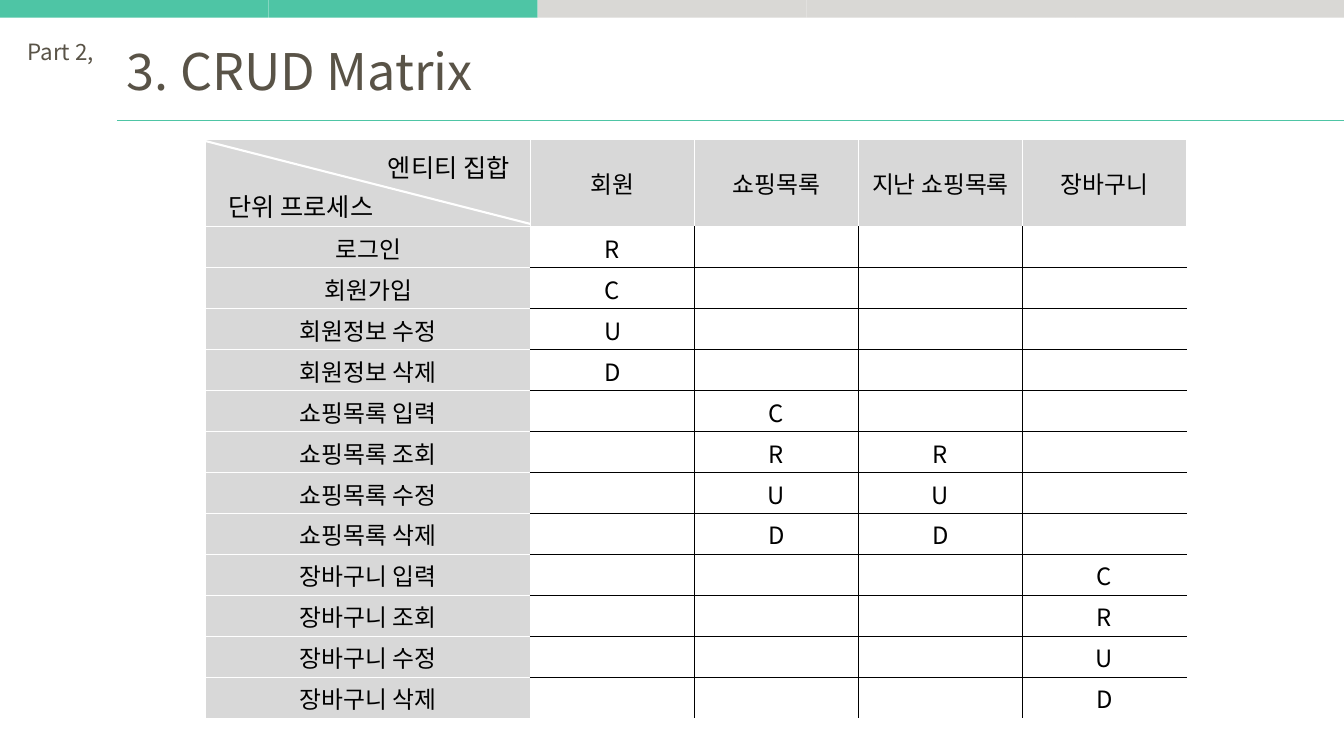
from lxml import etree
from pptx import Presentation
from pptx.dml.color import RGBColor
from pptx.enum.shapes import MSO_CONNECTOR, MSO_SHAPE
from pptx.enum.text import MSO_ANCHOR, PP_ALIGN
from pptx.oxml.ns import qn
from pptx.util import Pt

RECTANGLE = MSO_SHAPE.RECTANGLE
STRAIGHT = MSO_CONNECTOR.STRAIGHT
MIDDLE = MSO_ANCHOR.MIDDLE
LEFT, CENTER = PP_ALIGN.LEFT, PP_ALIGN.CENTER

FONT = "Noto Sans CJK KR"
TEAL, STONE, BROWN = "4EC5A5", "D9D8D5", "595347"
GREY, BLACK, WHITE = "D8D8D8", "000000", "FFFFFF"


def paint(fill, color):
    fill.solid()
    fill.fore_color.rgb = RGBColor.from_string(color)


def write(frame, text, size=18, color=BLACK, align=LEFT):
    para = frame.paragraphs[0]
    para.alignment = align
    span = para.add_run()
    span.text = text
    span.font.name = FONT
    span.font.size = Pt(size)
    paint(span.font.fill, color)
    east_asian = etree.SubElement(span.font.fill._xPr, qn("a:ea"))
    east_asian.set("typeface", FONT)


deck = Presentation()
deck.slide_width, deck.slide_height = Pt(960), Pt(540)
page = deck.slides.add_slide(deck.slide_layouts[6])

for index, color in enumerate([TEAL, TEAL, STONE, STONE, STONE]):
    block = page.shapes.add_shape(RECTANGLE, Pt(192 * index), 0, Pt(192), Pt(12.7))
    block.shadow.inherit = False
    paint(block.fill, color)
    block.line.fill.background()

headers = ["", "회원", "쇼핑목록", "지난 쇼핑목록", "장바구니"]
processes = [
    ("로그인", "R", "", "", ""),
    ("회원가입", "C", "", "", ""),
    ("회원정보 수정", "U", "", "", ""),
    ("회원정보 삭제", "D", "", "", ""),
    ("쇼핑목록 입력", "", "C", "", ""),
    ("쇼핑목록 조회", "", "R", "R", ""),
    ("쇼핑목록 수정", "", "U", "U", ""),
    ("쇼핑목록 삭제", "", "D", "D", ""),
    ("장바구니 입력", "", "", "", "C"),
    ("장바구니 조회", "", "", "", "R"),
    ("장바구니 수정", "", "", "", "U"),
    ("장바구니 삭제", "", "", "", "D"),
]
rows = [headers, *processes]
last_row, last_column = len(rows) - 1, len(headers) - 1

matrix = page.shapes.add_table(
    len(rows), len(headers), Pt(147), Pt(99.5), Pt(700.6), Pt(414)
).table
matrix.first_row = False
matrix.horz_banding = False
for index, column in enumerate(matrix.columns):
    column.width = Pt(117.15 if index else 232)
for index, row in enumerate(matrix.rows):
    row.height = Pt(29.3 if index else 62.4)

for r, values in enumerate(rows):
    for c, value in enumerate(values):
        cell = matrix.cell(r, c)
        cell.vertical_anchor = MIDDLE
        cell.margin_left = cell.margin_right = cell.margin_top = Pt(0.7)
        cell.margin_bottom = 0
        heading = r == 0 or c == 0
        white_edges = {
            "a:lnL": heading or c == 1,
            "a:lnR": heading or c == last_column,
            "a:lnT": heading or r == 1,
            "a:lnB": heading or r == last_row,
        }
        properties = cell._tc.get_or_add_tcPr()
        for edge, is_white in white_edges.items():
            border = etree.SubElement(properties, qn(edge), w=str(Pt(1)))
            solid = etree.SubElement(border, qn("a:solidFill"))
            etree.SubElement(solid, qn("a:srgbClr"), val=WHITE if is_white else BLACK)
        paint(cell.fill, GREY if heading else WHITE)
        if value:
            write(cell.text_frame, value, size=17, align=CENTER)

rules = [
    (83.5, 86.4, 960, 86.4, TEAL, 0.75),
    (147, 100.8, 379, 160, WHITE, 1.5),
]
for x1, y1, x2, y2, color, width in rules:
    rule = page.shapes.add_connector(STRAIGHT, Pt(x1), Pt(y1), Pt(x2), Pt(y2))
    rule.line.width = Pt(width)
    paint(rule.line.fill, color)
    etree.SubElement(rule._element.spPr, qn("a:effectLst"))

labels = [
    ("Part 2,", 12.6, 23.8, 74.2, 26.6, 16, BROWN),
    ("3. CRUD Matrix", 83.5, 25.2, 502.6, 51.1, 36, BROWN),
    ("단위 프로세스", 156.2, 133.2, 133.9, 28.8, 18, BLACK),
    ("엔티티 집합", 270, 105.1, 118.8, 28.8, 18, BLACK),
]
for text, left, top, width, height, size, color in labels:
    box = page.shapes.add_textbox(Pt(left), Pt(top), Pt(width), Pt(height))
    box.text_frame.word_wrap = True
    write(box.text_frame, text, size=size, color=color)

deck.save("out.pptx")
